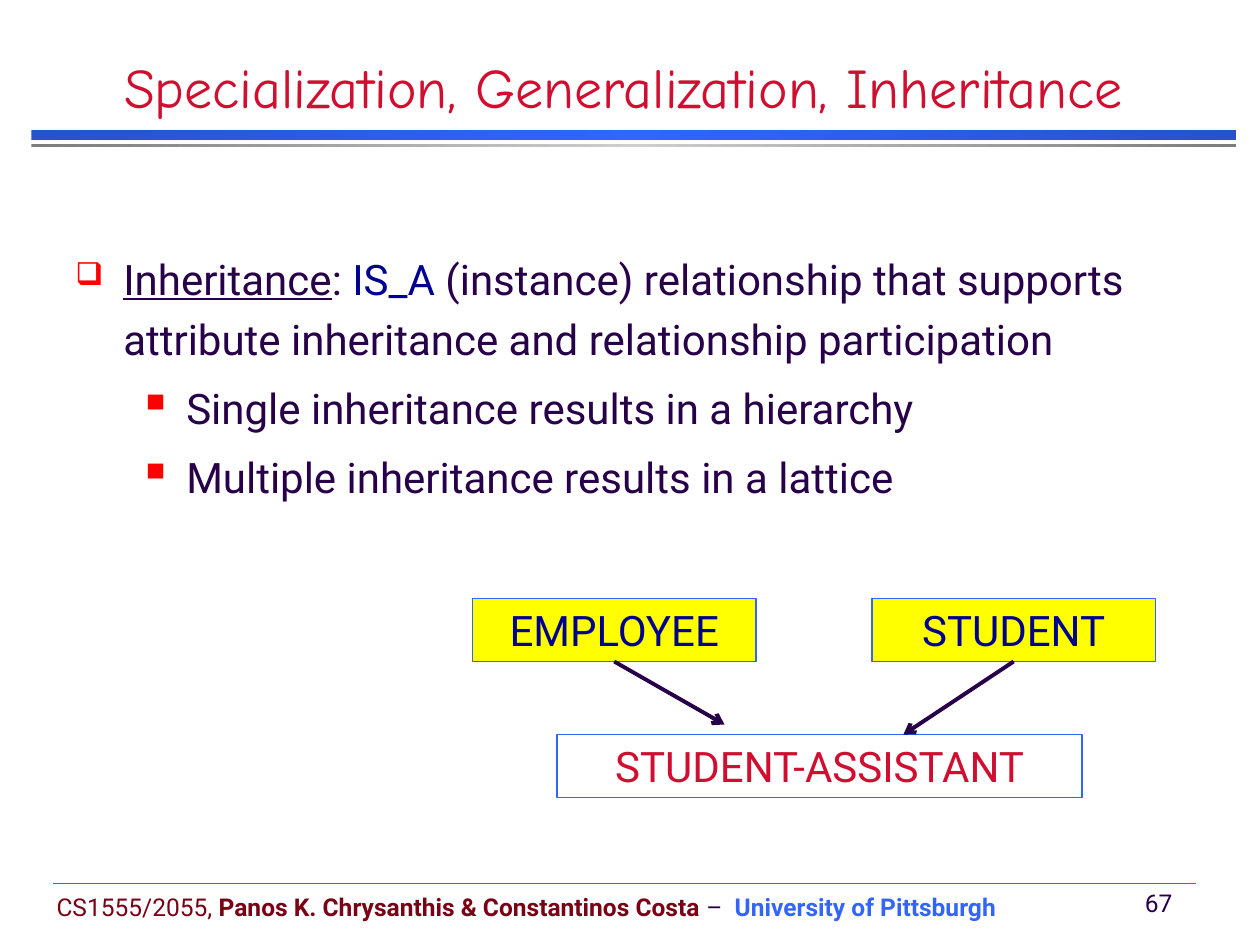
from copy import deepcopy

from lxml import etree
from pptx import Presentation
from pptx.dml.color import RGBColor
from pptx.enum.shapes import MSO_CONNECTOR, MSO_SHAPE
from pptx.enum.text import MSO_ANCHOR, MSO_AUTO_SIZE, PP_ALIGN
from pptx.oxml.ns import qn
from pptx.util import Inches, Pt

STRAIGHT = MSO_CONNECTOR.STRAIGHT
RECTANGLE = MSO_SHAPE.RECTANGLE
MIDDLE, BOTTOM = MSO_ANCHOR.MIDDLE, MSO_ANCHOR.BOTTOM
NO_FIT = MSO_AUTO_SIZE.NONE
LEFT, CENTER = PP_ALIGN.LEFT, PP_ALIGN.CENTER
BOTTOM_SIDE = 2
TITLE_ONLY = 5

COLORS = {
    "crimson": "CF0E30", "ink": "280049", "navy": "000090", "maroon": "790015",
    "blue": "3365FB", "deep_blue": "2951C9", "gray": "7C7C7C", "silver": "CECECE",
    "red": "FF0000", "yellow": "FFFF00", "white": "FFFFFF", "teal": "009688",
}


def rgb(name):
    """Return the named palette colour."""
    return RGBColor.from_string(COLORS[name])


def add_text(paragraph, text, size=24, color="ink", font="Roboto", bold=False, underline=False):
    """Append a formatted run to a paragraph."""
    run = paragraph.add_run()
    run.text = text
    run.font.name = font
    run.font.size = Pt(size)
    run.font.bold = bold
    run.font.underline = underline
    run.font.color.rgb = rgb(color)


def set_frame(shape, anchor, wrap=True, align=LEFT):
    """Prepare a text frame and return its first paragraph."""
    frame = shape.text_frame
    frame.word_wrap = wrap
    frame.auto_size = NO_FIT
    frame.vertical_anchor = anchor
    paragraph = frame.paragraphs[0]
    paragraph.alignment = align
    return paragraph


def set_bullet(paragraph, character, percent, margin):
    """Give a paragraph a red hanging bullet."""
    properties = paragraph._p.get_or_add_pPr()
    properties.set("marL", str(Inches(margin)))
    properties.set("indent", str(Inches(-0.38)))
    bullet_color = etree.SubElement(properties, qn("a:buClr"))
    etree.SubElement(bullet_color, qn("a:srgbClr"), val=COLORS["red"])
    etree.SubElement(properties, qn("a:buSzPct"), val=str(percent * 1000))
    etree.SubElement(properties, qn("a:buChar"), char=character)


def add_line(slide, start, end, color, width, arrow=False):
    """Draw a straight connector between two points in inches."""
    points = [Inches(value) for value in (*start, *end)]
    connector = slide.shapes.add_connector(STRAIGHT, *points)
    connector.line.color.rgb = rgb(color)
    connector.line.width = Pt(width)
    if arrow:
        outline = connector.line._get_or_add_ln()
        etree.SubElement(outline, qn("a:tailEnd"), type="arrow")
    etree.SubElement(connector._element.spPr, qn("a:effectLst"))
    return connector


def add_band(slide, box, edge, center):
    """Draw a borderless bar that shades from edge to center and back."""
    band = slide.shapes.add_shape(RECTANGLE, *map(Inches, box))
    band.shadow.inherit = False
    band.line.fill.background()
    band.fill.gradient()
    band.fill.gradient_angle = 0
    stop_list = next(band._element.spPr.iter(qn("a:gsLst")))
    stop_list.append(deepcopy(stop_list[0]))
    stops = zip(band.fill.gradient_stops, (0, 0.5, 1), (edge, center, edge))
    for stop, position, color in stops:
        stop.position = position
        stop.color.rgb = rgb(color)


def add_title(slide, box):
    """Place the title and the two bands below it."""
    title = slide.shapes.title
    title.left, title.top, title.width, title.height = map(Inches, box)
    paragraph = set_frame(title, BOTTOM, align=CENTER)
    add_text(paragraph, "Specialization, Generalization, Inheritance",
             size=32, color="crimson", font="Comic Neue")
    add_band(slide, (0.25, 1.03, 9.56, 0.08), "deep_blue", "blue")
    add_band(slide, (0.25, 1.14, 9.56, 0.03), "gray", "silver")


def add_body(slide, box):
    """Write the definition and its two sub-points."""
    body = slide.shapes.add_textbox(*map(Inches, box))
    definition = set_frame(body, MSO_ANCHOR.TOP)
    add_text(definition, "Inheritance", underline=True)
    add_text(definition, ": ")
    add_text(definition, "IS_A", color="navy")
    add_text(definition, " (instance) relationship that supports attribute "
                         "inheritance and relationship participation")
    for text in ("Single inheritance results in a hierarchy",
                 "Multiple inheritance results in a lattice"):
        paragraph = body.text_frame.add_paragraph()
        paragraph.level = 1
        add_text(paragraph, text)
    for paragraph in body.text_frame.paragraphs:
        paragraph.line_spacing = 1.2
        paragraph.space_before = Pt(4.8)
        bullet = ("▪", 110, 0.88) if paragraph.level else ("❑", 75, 0.38)
        set_bullet(paragraph, *bullet)


def add_entity(slide, box, name, fill, color):
    """Draw one labelled entity box."""
    entity = slide.shapes.add_shape(RECTANGLE, *map(Inches, box))
    entity.shadow.inherit = False
    entity.fill.solid()
    entity.fill.fore_color.rgb = rgb(fill)
    entity.line.color.rgb = rgb("blue")
    entity.line.width = Pt(1)
    paragraph = set_frame(entity, BOTTOM, align=CENTER)
    paragraph.line_spacing = 0.9
    add_text(paragraph, name, color=color)
    return entity


def add_lattice(slide, box):
    """Draw two parent entities with arrows to their shared child."""
    left, top, width, height = box
    parent_width, entity_height, child_width = 2.25, 0.5, 4.17
    child_top = top + height - entity_height
    parents = (("EMPLOYEE", left, (left + 2, child_top - 0.08)),
               ("STUDENT", left + width - parent_width, (left + 3.42, child_top)))
    child_box = (left + 0.67, child_top, child_width, entity_height)
    add_entity(slide, child_box, "STUDENT-ASSISTANT", "white", "crimson")
    for name, parent_left, tip in parents:
        parent = add_entity(slide, (parent_left, top, parent_width, entity_height),
                            name, "yellow", "navy")
        start = (parent_left + parent_width / 2, top + entity_height)
        arrow = add_line(slide, start, tip, "ink", 2.25, arrow=True)
        arrow.begin_connect(parent, BOTTOM_SIDE)


def add_footer(slide, box):
    """Write the course line and page number under a thin rule."""
    left, top, width, height = box
    add_line(slide, (0.42, 7.01), (9.49, 7.01), "teal", 0.25)
    course = slide.shapes.add_textbox(*map(Inches, (left, top, 8.11, height)))
    paragraph = set_frame(course, MIDDLE, wrap=False)
    add_text(paragraph, "CS1555/2055, ", size=14, color="maroon")
    add_text(paragraph, "Panos K. Chrysanthis & Constantinos Costa",
             size=14, color="maroon", bold=True)
    add_text(paragraph, " –  ", size=14)
    add_text(paragraph, "University of Pittsburgh", size=14, color="blue", bold=True)
    number_box = (left + width - 0.49, 7, 0.49, 0.33)
    number = slide.shapes.add_textbox(*map(Inches, number_box))
    add_text(set_frame(number, MIDDLE, wrap=False, align=CENTER), "67", size=14)


def main():
    """Build and save the presentation."""
    presentation = Presentation()
    presentation.slide_width, presentation.slide_height = Inches(10), Inches(7.5)
    slide = presentation.slides.add_slide(presentation.slide_layouts[TITLE_ONLY])
    add_title(slide, (0, 0.42, 9.9, 0.58))
    add_body(slide, (0.5, 1.88, 8.75, 2.17))
    add_lattice(slide, (3.75, 4.75, 5.42, 1.58))
    add_footer(slide, (0.35, 7.03, 9.09, 0.34))
    presentation.save("out.pptx")


if __name__ == "__main__":
    main()
